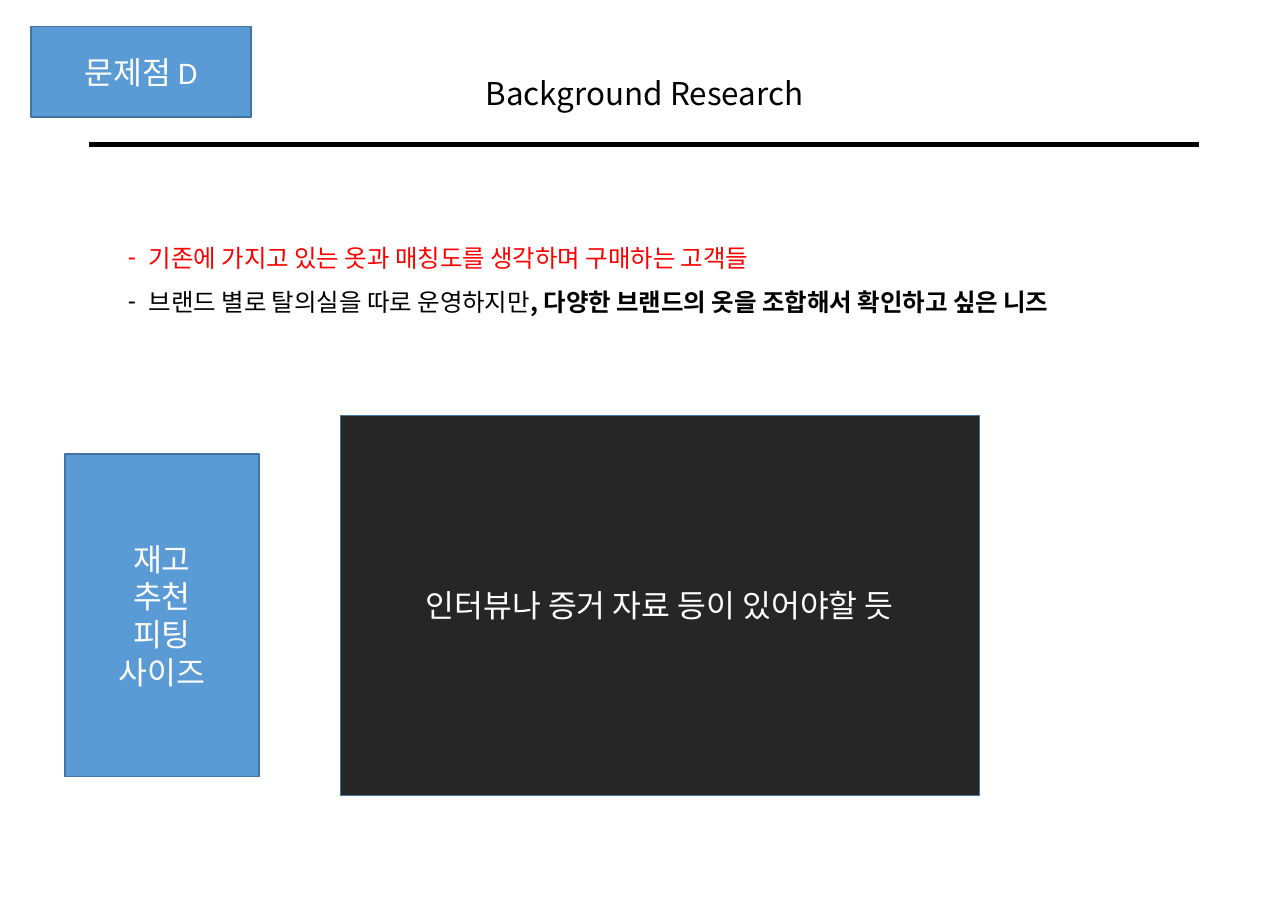
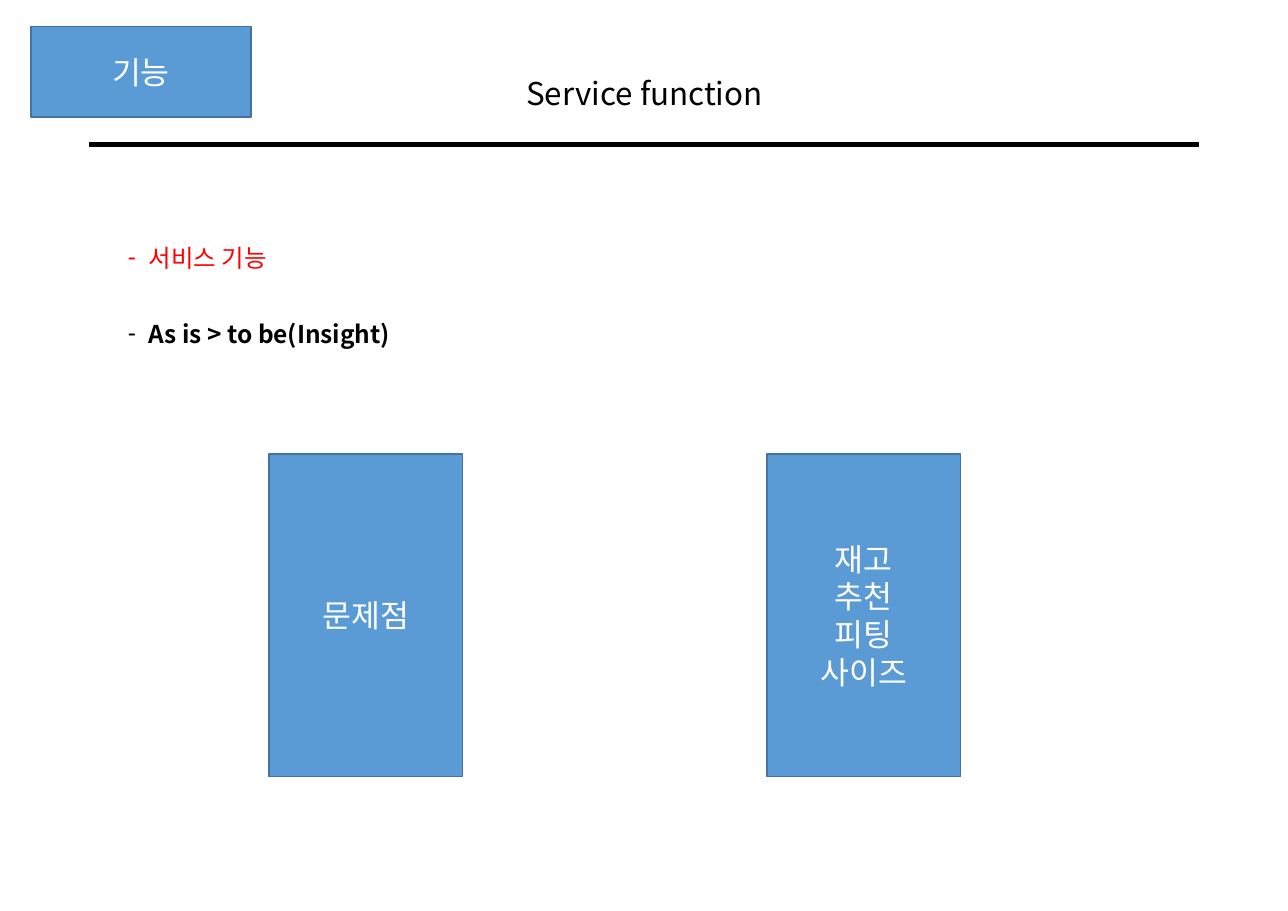
from lxml import etree
from pptx import Presentation
from pptx.dml.color import RGBColor
from pptx.enum.shapes import MSO_CONNECTOR as Connector, MSO_SHAPE as Shape
from pptx.enum.text import MSO_ANCHOR as Anchor, MSO_AUTO_SIZE as AutoSize, PP_ALIGN as Align
from pptx.oxml.ns import qn
from pptx.util import Inches, Pt

BLACK = RGBColor(0x00, 0x00, 0x00)
WHITE = RGBColor(0xFF, 0xFF, 0xFF)
RED = RGBColor(0xFF, 0x00, 0x00)
BLUE = RGBColor(0x5B, 0x9B, 0xD5)
EDGE = RGBColor(0x43, 0x73, 0x9E)
DARK = RGBColor(0x26, 0x26, 0x26)
KOREAN = "Noto Sans CJK KR"

TITLE_AREA = (2.44, 0.62, 6.82, 0.45)
LIST_AREA = (1.06, 2.02, 10.88, 1.18)
TAG_AREA = (0.28, 0.24, 2, 0.82)
RULE_LEFT, RULE_RIGHT, RULE_TOP = 0.81, 10.88, 1.31
CARD_TOP, CARD_WIDTH, CARD_HEIGHT = 4.12, 1.76, 2.93
INDENT = Inches(0.19)

TITLE_FONT = {"name": KOREAN, "size": Pt(20.5), "bold": False}
LIST_FONT = {"name": KOREAN, "size": Pt(16)}
BOX_FONT = {"name": "Calibri", "size": Pt(20.5)}

TOPICS = ["재고", "추천", "피팅", "사이즈"]


def card_at(left):
    return left, CARD_TOP, CARD_WIDTH, CARD_HEIGHT


# Each list item is a sequence of (text, colour, bold) spans.
PAGES = [
    {
        "title": "Background Research",
        "tag": "문제점 D",
        "item_gap": 0,
        "items": [
            [("기존에 가지고 있는 옷과 매칭도를 생각하며 구매하는 고객들", RED, False)],
            [("브랜드 별로 탈의실을 따로 운영하지만", BLACK, False),
             (", 다양한 브랜드의 옷을 조합해서 확인하고 싶은 니즈", BLACK, True)],
        ],
        "boxes": [
            ((3.09, 3.77, 5.8, 3.45), DARK, ["인터뷰나 증거 자료 등이 있어야할 듯"]),
            (card_at(0.59), BLUE, TOPICS),
        ],
    },
    {
        "title": "Service function",
        "tag": "기능",
        "item_gap": 21,
        "items": [
            [("서비스 기능", RED, False)],
            [("As is > to be(Insight)", BLACK, True)],
        ],
        "boxes": [
            (card_at(2.44), BLUE, ["문제점"]),
            (card_at(6.96), BLUE, TOPICS),
        ],
    },
]


def add_span(para, text, color, formats):
    """Add a run whose Korean letters use the Korean font."""
    span = para.add_run()
    span.text = text
    span.font.color.rgb = color
    for name, value in formats.items():
        setattr(span.font, name, value)
    latin = span.font._element.find(qn("a:latin"))
    latin.addnext(latin.makeelement(qn("a:ea"), {"typeface": KOREAN}))


deck = Presentation()
deck.slide_width, deck.slide_height = Inches(11.69), Inches(8.27)

layout = deck.slide_layouts.get_by_name("Title and Content")
for holder, area in zip(layout.placeholders, (TITLE_AREA, LIST_AREA)):
    holder.left, holder.top, holder.width, holder.height = map(Inches, area)

for content in PAGES:
    page = deck.slides.add_slide(layout)
    title, body = page.placeholders
    for holder in (title, body):
        holder.text_frame.auto_size = AutoSize.NONE
        holder.text_frame.vertical_anchor = Anchor.TOP

    para = title.text_frame.paragraphs[0]
    para.alignment = Align.CENTER
    add_span(para, content["title"], BLACK, TITLE_FONT)

    rule = page.shapes.add_connector(
        Connector.STRAIGHT, *map(Inches, (RULE_LEFT, RULE_TOP, RULE_RIGHT, RULE_TOP)))
    rule.line.color.rgb = BLACK
    rule.line.width = Pt(3)
    etree.SubElement(rule._element.spPr, qn("a:effectLst"))

    for index, item in enumerate(content["items"]):
        para = body.text_frame.add_paragraph() if index else body.text_frame.paragraphs[0]
        para.line_spacing = 1.5
        para.space_before = Pt(content["item_gap"] if index else 0)
        properties = para._p.get_or_add_pPr()
        properties.set("marL", str(INDENT))
        properties.set("indent", str(-INDENT))
        etree.SubElement(properties, qn("a:buChar"), char="-")
        for text, color, bold in item:
            add_span(para, text, color, {**LIST_FONT, "bold": bold})

    for area, fill, lines in [(TAG_AREA, BLUE, [content["tag"]]), *content["boxes"]]:
        box = page.shapes.add_shape(Shape.RECTANGLE, *map(Inches, area))
        box.shadow.inherit = False
        box.fill.solid()
        box.fill.fore_color.rgb = fill
        box.line.color.rgb = EDGE
        box.line.width = Pt(1)
        frame = box.text_frame
        frame.word_wrap = True
        frame.vertical_anchor = Anchor.MIDDLE
        for index, line in enumerate(lines):
            para = frame.add_paragraph() if index else frame.paragraphs[0]
            para.alignment = Align.CENTER
            add_span(para, line, WHITE, BOX_FONT)

deck.save("out.pptx")
